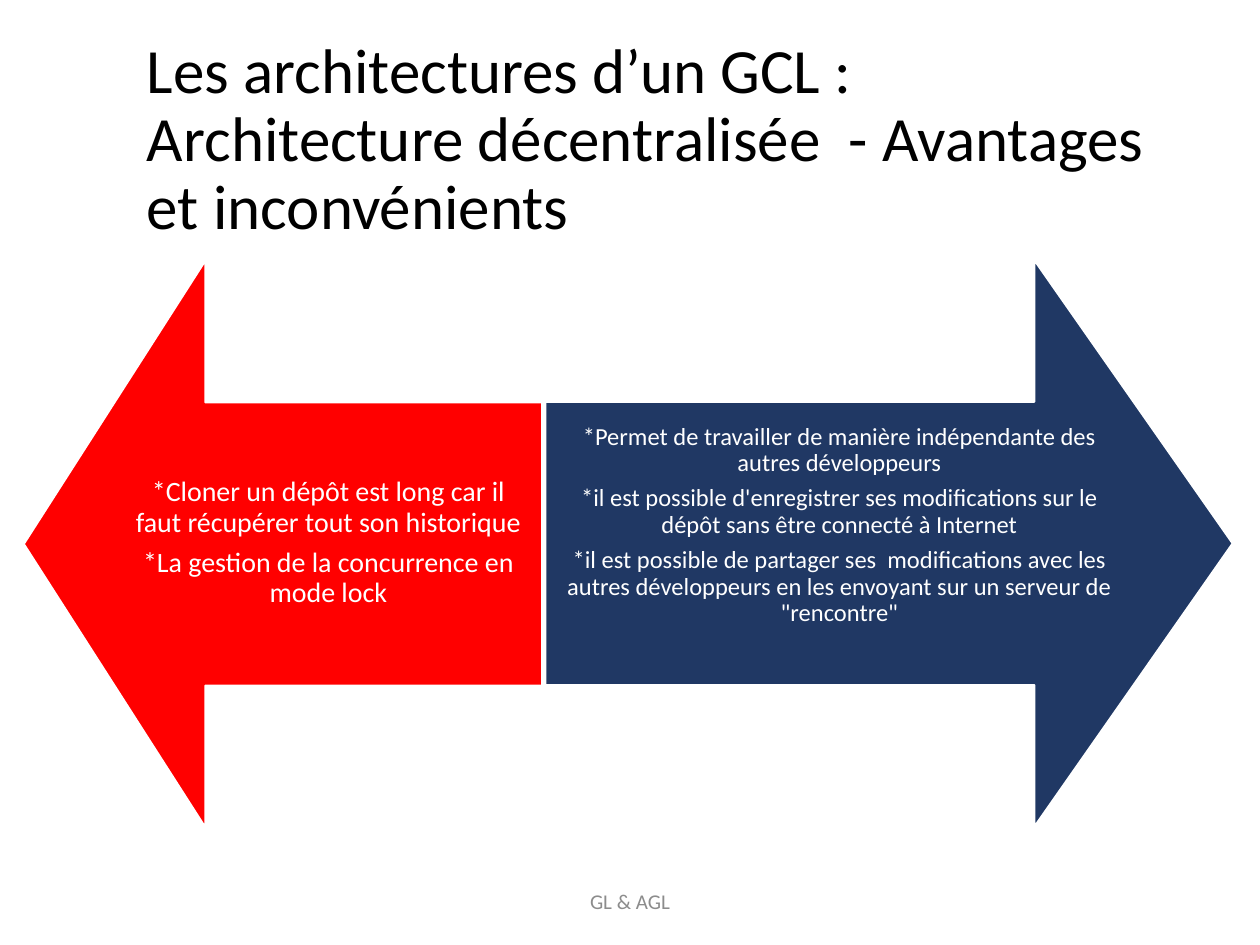
from pptx import Presentation
from pptx.dml.color import RGBColor
from pptx.enum.shapes import MSO_SHAPE
from pptx.enum.text import MSO_ANCHOR, PP_ALIGN
from pptx.util import Emu, Pt

ARROW = MSO_SHAPE.UP_ARROW
MIDDLE = MSO_ANCHOR.MIDDLE
LEFT, CENTER = PP_ALIGN.LEFT, PP_ALIGN.CENTER
SCALE = 914400 // 126
FONT = "Calibri"
COLORS = {"black": "000000", "white": "FFFFFF", "red": "FF0000",
          "navy": "203864", "gray": "8C8C8C"}

# Content: arrows as box, turn and fill
ARROWS = [
    ((0, 285, 566, 518), 270, "red"),
    ((606, 200, 566, 687), 90, "navy"),
]

# Content: texts with box, insets (left, top, right, bottom) and format
TEXTS = [
    {"box": (134, 50, 1040, 183), "pad": (13, 6, 13, 6), "size": 36,
     "color": "black", "align": LEFT, "line": 0.9, "after": 0,
     "lines": ["Les architectures d’un GCL : \vArchitecture décentralisée  - "
               "Avantages et inconvénients"]},
    {"box": (115, 402, 427, 282), "pad": (15, 15, 15, 15), "size": 16,
     "color": "white", "align": CENTER, "line": 0.9, "after": 5.6,
     "lines": ["*Cloner un dépôt est long car il faut récupérer tout son historique",
               "*La gestion de la concurrence en mode lock"]},
    {"box": (546, 402, 587, 282), "pad": (14, 14, 14, 49), "size": 14,
     "color": "white", "align": CENTER, "line": 0.9, "after": 4.9,
     "lines": ["*Permet de travailler de manière indépendante des autres développeurs",
               "*il est possible d'enregistrer ses modifications sur le dépôt "
               "sans être connecté à\u00a0Internet",
               "*il est possible de partager ses\u00a0 modifications avec les autres "
               "développeurs en les envoyant sur un serveur de \"rencontre\""]},
    {"box": (417, 876, 426, 50), "pad": (13, 6, 13, 6), "size": 12,
     "color": "gray", "align": CENTER, "line": 1.0, "after": 0,
     "lines": ["GL & AGL"]},
]


def px(vals):
    return [Emu(v * SCALE) for v in vals]


def rgb(name):
    return RGBColor.from_string(COLORS[name])


def put(item, vals):
    for key, val in vals.items():
        setattr(item, key, val)


def add_arrow(slide, box, turn, fill):
    arrow = slide.shapes.add_shape(ARROW, *px(box))
    arrow.rotation = turn
    arrow.shadow.inherit = False
    arrow.adjustments[0] = 0.5
    arrow.adjustments[1] = 0.35
    arrow.fill.solid()
    arrow.fill.fore_color.rgb = rgb(fill)
    arrow.line.color.rgb = rgb("white")
    arrow.line.width = Pt(1)


def add_text(slide, data):
    frame = slide.shapes.add_textbox(*px(data["box"])).text_frame
    sides = ("margin_left", "margin_top", "margin_right", "margin_bottom")
    put(frame, {"word_wrap": True, "vertical_anchor": MIDDLE,
                **dict(zip(sides, px(data["pad"])))})
    for i, line in enumerate(data["lines"]):
        para = frame.add_paragraph() if i else frame.paragraphs[0]
        para.text = line
        put(para, {"alignment": data["align"], "line_spacing": data["line"],
                   "space_after": Pt(data["after"])})
        for run in para.runs:
            put(run.font, {"name": FONT, "size": Pt(data["size"])})
            run.font.color.rgb = rgb(data["color"])


# Slide
deck = Presentation()
put(deck, {"slide_width": Emu(1260 * SCALE), "slide_height": Emu(945 * SCALE)})
slide = deck.slides.add_slide(deck.slide_layouts[6])
for args in ARROWS:
    add_arrow(slide, *args)
for data in TEXTS:
    add_text(slide, data)
deck.save("out.pptx")
